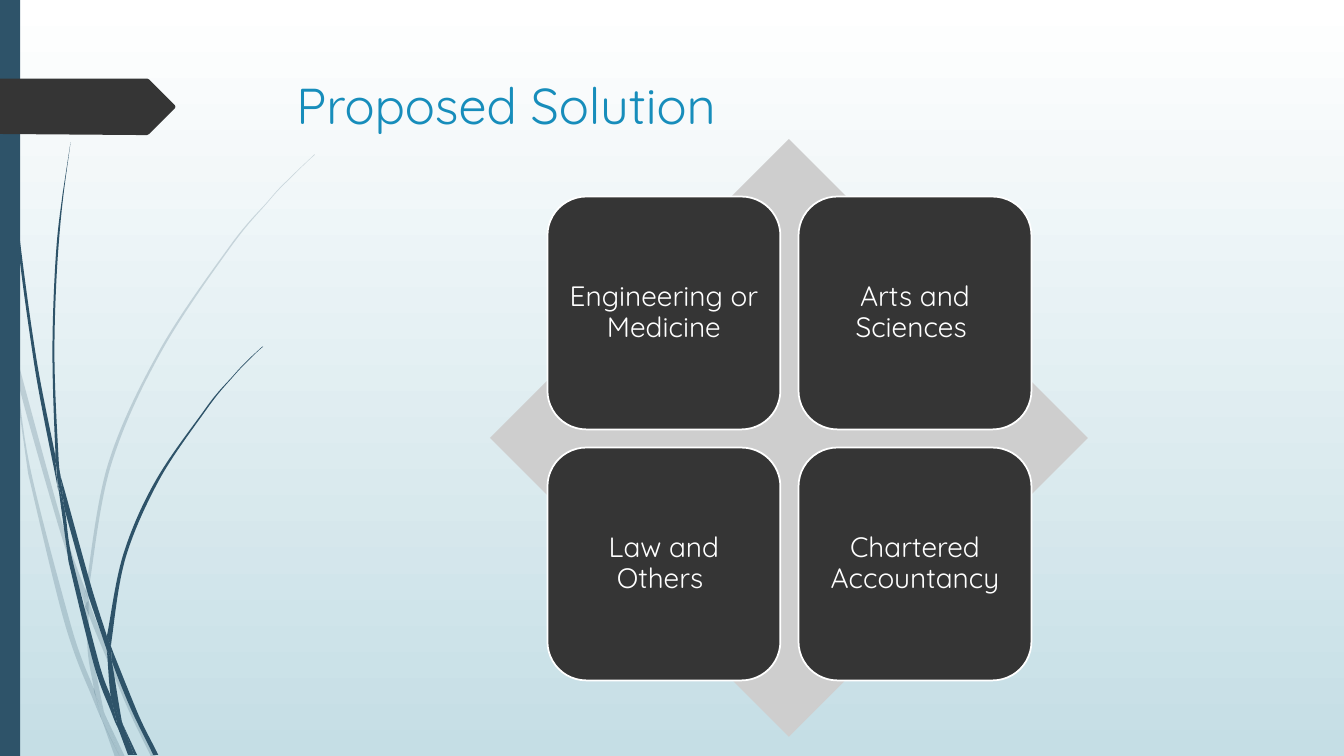
from lxml import etree
from pptx import Presentation
from pptx.dml.color import RGBColor
from pptx.enum.shapes import MSO_SHAPE
from pptx.enum.text import MSO_ANCHOR, PP_ALIGN
from pptx.oxml.ns import qn
from pptx.util import Pt

PX = 9144  # 100 px to the inch
SLIDE_WIDTH, SLIDE_HEIGHT = 1333, 750
FONT = "Quicksand"
CENTER, MIDDLE, TOP = PP_ALIGN.CENTER, MSO_ANCHOR.MIDDLE, MSO_ANCHOR.TOP
RECTANGLE, DIAMOND = MSO_SHAPE.RECTANGLE, MSO_SHAPE.DIAMOND
ROUNDED_RECTANGLE = MSO_SHAPE.ROUNDED_RECTANGLE

WHITE = RGBColor(0xFF, 0xFF, 0xFF)
MIST = RGBColor(0xC5, 0xDE, 0xE5)
NAVY = RGBColor(0x2E, 0x53, 0x69)
CHARCOAL = RGBColor(0x35, 0x35, 0x35)
SILVER = RGBColor(0xCE, 0xCE, 0xCE)
BLUE = RGBColor(0x17, 0x8D, 0xBB)

# Each grass piece is a pair of curved edges, joined at their ends.
PALE_GRASS = [
    ([(11, 350), (9, 322), (0, 282)], [(0, 299), (10, 344), (11, 350)]),
    ([(14, 345), (17, 376), (58, 522), (84, 599)],
     [(85, 586), (62, 520), (14, 345)]),
    ([(88, 596), (88, 610), (123, 694), (150, 751)],
     [(155, 751), (127, 692), (92, 607), (88, 596)]),
    ([(119, 751), (124, 751)], [(105, 711), (119, 751)]),
    ([(93, 683), (70, 619), (31, 469), (17, 376), (11, 350)],
     [(28, 470), (65, 621), (92, 693), (101, 714), (99, 707), (93, 683)]),
    ([(84, 599), (87, 646), (93, 683), (96, 692), (105, 711)],
     [(103, 706), (91, 646), (88, 610), (88, 608), (84, 599)]),
    ([(88, 584), (110, 462), (160, 349), (229, 245), (268, 198), (290, 175),
      (312, 154)],
     [(312, 153), (289, 175), (268, 197), (228, 244), (158, 348), (107, 461),
      (85, 584), (85, 586), (88, 596)]),
    ([(101, 714), (114, 751)], [(119, 751), (101, 714)]),
    ([(88, 608), (88, 610), (88, 596)], [(85, 586), (84, 599), (88, 608)]),
    ([(96, 692), (93, 683), (99, 707), (101, 714), (119, 751)],
     [(105, 711), (96, 692)]),
]
DARK_GRASS = [
    ([(7, 110), (17, 233), (33, 355), (56, 477), (57, 481)],
     [(55, 457), (55, 453), (36, 355), (19, 232), (8, 109), (5, 48), (4, 0)],
     [(3, 0), (4, 48), (7, 110)]),
    ([(88, 592), (106, 645)], [(106, 633), (106, 631), (93, 590), (60, 472)],
     [(64, 505), (88, 592)]),
    ([(113, 649), (110, 641)], [(111, 656), (132, 708), (152, 749)],
     [(157, 749), (136, 706), (113, 649)]),
    ([(110, 691), (98, 657), (72, 556), (64, 505), (57, 477)],
     [(68, 557), (93, 659), (111, 708), (117, 722)], [(116, 717), (110, 691)]),
    ([(60, 472), (58, 453), (54, 349), (58, 245), (63, 193), (70, 141)],
     [(62, 193), (56, 245), (52, 349), (55, 449), (60, 472)]),
    ([(133, 749), (136, 749)], [(122, 719), (133, 749)]),
    ([(57, 477), (64, 505)], [(60, 472), (55, 449)], [(55, 453), (57, 477)]),
    ([(111, 633), (125, 552), (158, 476), (205, 406), (231, 374), (245, 359),
      (261, 344)],
     [(260, 344), (245, 358), (231, 373), (204, 405), (156, 474), (122, 551),
      (106, 631)], [(110, 641), (111, 633)]),
    ([(117, 722), (127, 749)], [(131, 749), (117, 722)]),
    ([(106, 645), (110, 691), (116, 706), (122, 719)],
     [(121, 716), (111, 656), (109, 651), (106, 645)]),
    ([(106, 645), (109, 651), (111, 656)],
     [(110, 641), (106, 631), (106, 633), (106, 645)]),
    ([(116, 706), (110, 691), (116, 717), (117, 722), (130, 749)],
     [(133, 749), (122, 719), (116, 706)]),
]
PENTAGON = ([(173, 108), (148, 133)], [(148, 133), (146, 134)],
            [(136, 134), (0, 133)], [(0, 78), (136, 78)],
            [(146, 78), (148, 79)], [(148, 79), (173, 104)],
            [(173, 104), (174, 106), (173, 108)])
# The line breaks after these labels' trailing spaces shift the centring.
PATHS = ["Engineering or Medicine", "Arts and Sciences ",
         "Law and Others ", "Chartered Accountancy"]


def apply_format(target, values):
    for name, value in values.items():
        setattr(target, name, value)


def paint(shape, color, opacity=100):
    shape.shadow.inherit = False
    shape.fill.solid()
    shape.fill.fore_color.rgb = color
    shape.line.fill.background()
    if opacity < 100:
        color_element = shape.fill._xPr.find(qn("a:solidFill"))[0]
        alpha = etree.SubElement(color_element, qn("a:alpha"))
        alpha.set("val", str(opacity * 1000))


def add_preset(slide, kind, box, color):
    shape = slide.shapes.add_shape(kind, *(length * PX for length in box))
    paint(shape, color)
    return shape


def add_outline(slide, edges, color, opacity=100):
    """Draw a closed outline whose edges each curve through their points."""
    outline = []
    for edge in edges:
        outline += edge[outline[-1:] == edge[:1]:]
    builder = slide.shapes.build_freeform(*outline[0], scale=PX)
    builder.add_line_segments(outline[1:], close=True)
    shape = builder.convert_to_shape()
    left = min(x for x, y in outline)
    top = min(y for x, y in outline)
    bends = {}
    for edge in edges:
        padded = [edge[0], *edge, edge[-1]]
        for a, b, c, d in zip(padded, padded[1:], padded[2:], padded[3:]):
            if len(edge) > 2:
                bends[b, c] = curve_controls(a, b, c, d)
    segments = shape._element.findall(".//" + qn("a:lnTo"))
    for segment, ends in zip(segments, zip(outline, outline[1:])):
        if ends not in bends:
            continue
        segment.tag = qn("a:cubicBezTo")
        path_scale = int(segment[0].get("x")) / max(ends[1][0] - left, 1)
        path_scale = PX if path_scale > 2 else 1
        for index, (x, y) in enumerate(bends[ends]):
            point = etree.Element(qn("a:pt"))
            point.set("x", str(round((x - left) * path_scale)))
            point.set("y", str(round((y - top) * path_scale)))
            segment.insert(index, point)
    paint(shape, color, opacity)


def curve_controls(before, start, end, after):
    """Return the two handles of a Catmull-Rom segment."""
    return ([s + (e - b) / 6 for b, s, e in zip(before, start, end)],
            [e - (a - s) / 6 for s, e, a in zip(start, end, after)])


def write(shape, text, size, color, inset, anchor, paragraph_format):
    frame = shape.text_frame
    apply_format(frame, {"word_wrap": True, "vertical_anchor": anchor})
    margins = ("margin_left", "margin_top", "margin_right", "margin_bottom")
    apply_format(frame, dict(zip(margins, (length * PX for length in inset))))
    paragraph = frame.paragraphs[0]
    apply_format(paragraph, paragraph_format)
    run = paragraph.add_run()
    run.text = text
    apply_format(run.font, {"name": FONT, "size": Pt(size)})
    run.font.color.rgb = color


def draw_background(slide):
    fill = slide.background.fill
    fill.gradient()
    fill.gradient_angle = 270
    for stop, color, position in zip(fill.gradient_stops, (WHITE, MIST), (0, 1)):
        stop.color.rgb = color
        stop.position = position


def draw_left_edge(slide, box):
    for grass, opacity in ((PALE_GRASS, 20), (DARK_GRASS, 100)):
        for edges in grass:
            add_outline(slide, edges, NAVY, opacity)
    add_preset(slide, RECTANGLE, box, NAVY)
    add_outline(slide, PENTAGON, CHARCOAL)


def draw_title(slide, box):
    title = slide.shapes.add_textbox(*(length * PX for length in box))
    write(title, "Proposed Solution", 36, BLUE, (10, 6, 10, 5), TOP, {})


def draw_matrix(slide, box, tile=231, gap=18):
    """Lay four tiles in a centred two-by-two grid over a diamond."""
    left, top, width, height = box
    add_preset(slide, DIAMOND, box, SILVER)
    grid = 2 * tile + gap
    grid_left = left + (width - grid + 1) // 2
    grid_top = top + (height - grid + 1) // 2
    for index, label in enumerate(PATHS):
        row, column = divmod(index, 2)
        place = (grid_left + column * (tile + gap),
                 grid_top + row * (tile + gap), tile, tile)
        shape = add_preset(slide, ROUNDED_RECTANGLE, place, CHARCOAL)
        shape.line.color.rgb = WHITE
        shape.line.width = Pt(1.25)
        write(shape, label, 20, WHITE, (8, 8, 8, 8), MIDDLE,
              {"alignment": CENTER, "line_spacing": 0.9, "space_after": Pt(7)})


def main():
    presentation = Presentation()
    presentation.slide_width = SLIDE_WIDTH * PX
    presentation.slide_height = SLIDE_HEIGHT * PX
    slide = presentation.slides.add_slide(presentation.slide_layouts[6])
    draw_background(slide)
    draw_left_edge(slide, (0, 0, 20, SLIDE_HEIGHT))
    draw_title(slide, (284, 68, 975, 140))
    draw_matrix(slide, (486, 138, 593, 593))
    presentation.save("out.pptx")


if __name__ == "__main__":
    main()
